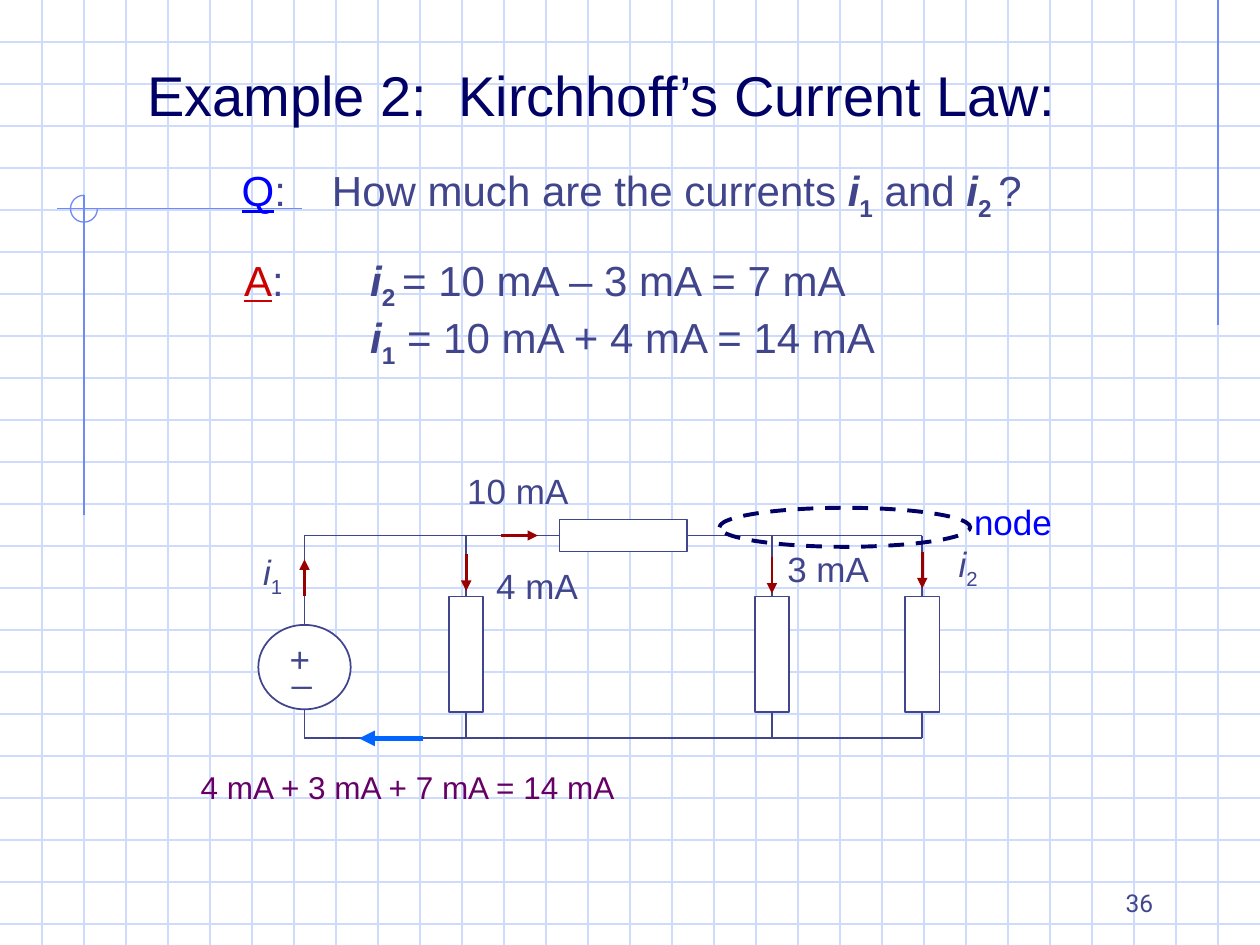
from lxml import etree
from pptx import Presentation
from pptx.dml.color import RGBColor
from pptx.enum.dml import MSO_LINE
from pptx.enum.shapes import MSO_CONNECTOR, MSO_SHAPE
from pptx.enum.text import MSO_ANCHOR, PP_ALIGN
from pptx.oxml.ns import qn
from pptx.util import Inches, Pt

STRAIGHT = MSO_CONNECTOR.STRAIGHT
RECTANGLE, OVAL, ARC = MSO_SHAPE.RECTANGLE, MSO_SHAPE.OVAL, MSO_SHAPE.ARC
DASH = MSO_LINE.DASH
LEFT, CENTER, RIGHT = PP_ALIGN.LEFT, PP_ALIGN.CENTER, PP_ALIGN.RIGHT
TOP, BOTTOM = MSO_ANCHOR.TOP, MSO_ANCHOR.BOTTOM

COLUMNS, ROWS = 30, 22.5
SLIDE_WIDTH, SLIDE_HEIGHT = Inches(10), Inches(7.5)
CELL = SLIDE_WIDTH / COLUMNS

COLORS = {
    "paper": "FFFFFF", "grid": "CFDBFD", "ornament": "6F89F7",
    "ink": "40458C", "navy": "000066", "blue": "0000FF",
    "answer": "CC0000", "current": "990000", "return": "0066FF",
    "sum": "660066",
}

TOP_RAIL, BOTTOM_RAIL = 12.75, 17.58
SOURCE_COLUMN = 7.25
BRANCH_COLUMNS = (11.1, 18.38, 21.96)
ARROW_LENGTH = 0.87


def cells(*values):
    return [round(value * CELL) for value in values]


def color(name):
    return RGBColor.from_string(COLORS[name])


def add_line(slide, start, end, line_color="ink", width=1, arrow=False,
             begin=None, finish=None):
    line = slide.shapes.add_connector(STRAIGHT, *cells(*start, *end))
    if begin:
        line.begin_connect(*begin)
    if finish:
        line.end_connect(*finish)
    line.line.color.rgb = color(line_color)
    line.line.width = Pt(width)
    properties = line._element.spPr
    if arrow:
        outline = properties.find(qn("a:ln"))
        etree.SubElement(outline, qn("a:tailEnd"), type="triangle")
    etree.SubElement(properties, qn("a:effectLst"))
    return line


def add_outline(slide, kind, box, line_color="ink", width=1, filled=True):
    shape = slide.shapes.add_shape(kind, *cells(*box))
    shape.shadow.inherit = False
    if filled:
        shape.fill.solid()
        shape.fill.fore_color.rgb = color("paper")
    else:
        shape.fill.background()
    shape.line.color.rgb = color(line_color)
    shape.line.width = Pt(width)
    return shape


def add_run(paragraph, size, text, text_color="ink", style="", font="Arial"):
    run = paragraph.add_run()
    run.text = text
    run.font.size = Pt(size)
    run.font.name = font
    run.font.color.rgb = color(text_color)
    run.font.bold = "bold" in style
    run.font.italic = "italic" in style
    run.font.underline = "underline" in style
    if "subscript" in style:
        run.font._element.set("baseline", "-25000")


def add_text(slide, box, size, *paragraphs, align=LEFT, anchor=TOP,
             wrap=False, tab=None):
    frame = slide.shapes.add_textbox(*cells(*box)).text_frame
    frame.word_wrap = wrap
    frame.vertical_anchor = anchor
    for index, runs in enumerate(paragraphs):
        paragraph = frame.add_paragraph() if index else frame.paragraphs[0]
        paragraph.alignment = align
        if tab:
            tabs = etree.SubElement(paragraph._p.get_or_add_pPr(), qn("a:tabLst"))
            etree.SubElement(tabs, qn("a:tab"), pos=str(cells(tab)[0]), algn="l")
        for run in runs:
            add_run(paragraph, size, *run)


def symbol(index, weight="bold"):
    return [("i", "ink", f"{weight} italic"), (index, "ink", f"{weight} subscript")]


def draw_background(slide):
    for row in range(1, int(ROWS) + 1):
        add_line(slide, (0, row), (COLUMNS, row), "grid", 0.75)
    for column in range(1, COLUMNS):
        add_line(slide, (column, 0), (column, ROWS), "grid", 0.75)
    for start, end in (((29, 0), (29, 7.74)), ((7.2, 4.97), (1.35, 4.97)),
                       ((2, 4.65), (2, 12.27))):
        add_line(slide, start, end, "ornament", 0.75)
    arc = add_outline(slide, ARC, (1.68, 4.65, 0.64, 0.64), "ornament", 0.75, False)
    arc.adjustments[0] = 0
    arc.adjustments[1] = 162


def draw_question(slide):
    add_text(slide, (21.51, 20.49, 6.24, 1.5), 14, [("36", "ink", "", "Roboto")],
             align=RIGHT, anchor=BOTTOM, wrap=True)
    add_text(slide, (3.21, 1.29, 22.26, 1.92), 32,
             [("Example 2:  Kirchhoff’s Current Law:", "navy")])
    add_text(slide, (5.46, 3.78, 21.12, 1.68), 24,
             [("Q", "blue", "underline"), (":\tHow much are the currents ",),
              *symbol("1"), (" and ",), *symbol("2 "), ("?",)],
             wrap=True, tab=2.15)
    add_text(slide, (5.52, 5.91, 17.49, 3.03), 24,
             [("A", "answer", "underline"), (":\t",), *symbol("2 "),
              ("= 10 mA – 3 mA = 7 mA",)],
             [("\t",), *symbol("1"), (" = 10 mA + 4 mA = 14 mA",)],
             wrap=True, tab=3)


def draw_circuit(slide):
    source = add_outline(slide, OVAL, (6.15, 14.88, 2.2, 2.01))
    add_line(slide, (SOURCE_COLUMN, TOP_RAIL), (SOURCE_COLUMN, 14.88),
             finish=(source, 0))
    add_line(slide, (SOURCE_COLUMN, 16.89), (SOURCE_COLUMN, BOTTOM_RAIL))
    series = add_outline(slide, RECTANGLE, (13.32, TOP_RAIL - 0.38, 3.03, 0.76))
    add_line(slide, (SOURCE_COLUMN, TOP_RAIL), (13.32, TOP_RAIL), finish=(series, 1))
    add_line(slide, (16.35, TOP_RAIL), (BRANCH_COLUMNS[-1], TOP_RAIL),
             begin=(series, 3))
    add_line(slide, (SOURCE_COLUMN, BOTTOM_RAIL), (BRANCH_COLUMNS[-1], BOTTOM_RAIL))
    for column in BRANCH_COLUMNS:
        resistor = add_outline(slide, RECTANGLE, (column - 0.41, 14.2, 0.82, 2.76))
        add_line(slide, (column, TOP_RAIL), (column, 14.2), finish=(resistor, 0))
        add_line(slide, (column, BOTTOM_RAIL), (column, 16.96), finish=(resistor, 2))


def draw_currents(slide):
    add_line(slide, (SOURCE_COLUMN, 14.19), (SOURCE_COLUMN, 14.19 - ARROW_LENGTH),
             "current", 1.5, True)
    for column, row in zip(BRANCH_COLUMNS, (13.2, 13.26, 13.14)):
        add_line(slide, (column, row), (column, row + ARROW_LENGTH),
                 "current", 1.5, True)
    add_line(slide, (11.94, TOP_RAIL), (11.94 + ARROW_LENGTH, TOP_RAIL),
             "current", 1.5, True)
    add_line(slide, (10.08, BOTTOM_RAIL), (8.55, BOTTOM_RAIL), "return", 3, True)


def draw_labels(slide):
    for left, top, width, text in ((6.6, 15.03, 1.08, "+"), (6.66, 15.27, 1.05, "_"),
                                   (11.52, 13.29, 2.7, "4 mA"),
                                   (10.83, 11.04, 3.3, "10 mA"),
                                   (18.45, 12.9, 2.7, "3 mA")):
        add_text(slide, (left, top, width, 1.32), 20, [(text,)], wrap=True)
    for left, top, index in ((5.97, 12.96, "1"), (22.53, 12.78, "2")):
        add_text(slide, (left, top, 1.05, 1.44), 20, symbol(index, "regular"))
    add_text(slide, (4.41, 18.15, 10.59, 1.2), 18,
             [("4 mA + 3 mA + 7 mA = 14 mA", "sum")], align=CENTER)
    node = add_outline(slide, OVAL, (17.13, 12.09, 5.97, 0.93), "navy", 2.25, False)
    node.line.dash_style = DASH
    add_text(slide, (22.89, 11.76, 2.46, 1.32), 20, [("node", "blue")], align=CENTER)


def main():
    presentation = Presentation()
    presentation.slide_width = SLIDE_WIDTH
    presentation.slide_height = SLIDE_HEIGHT
    slide = presentation.slides.add_slide(presentation.slide_layouts[6])
    slide.background.fill.solid()
    slide.background.fill.fore_color.rgb = color("paper")
    draw_background(slide)
    draw_question(slide)
    draw_circuit(slide)
    draw_currents(slide)
    draw_labels(slide)
    presentation.save("out.pptx")


if __name__ == "__main__":
    main()
